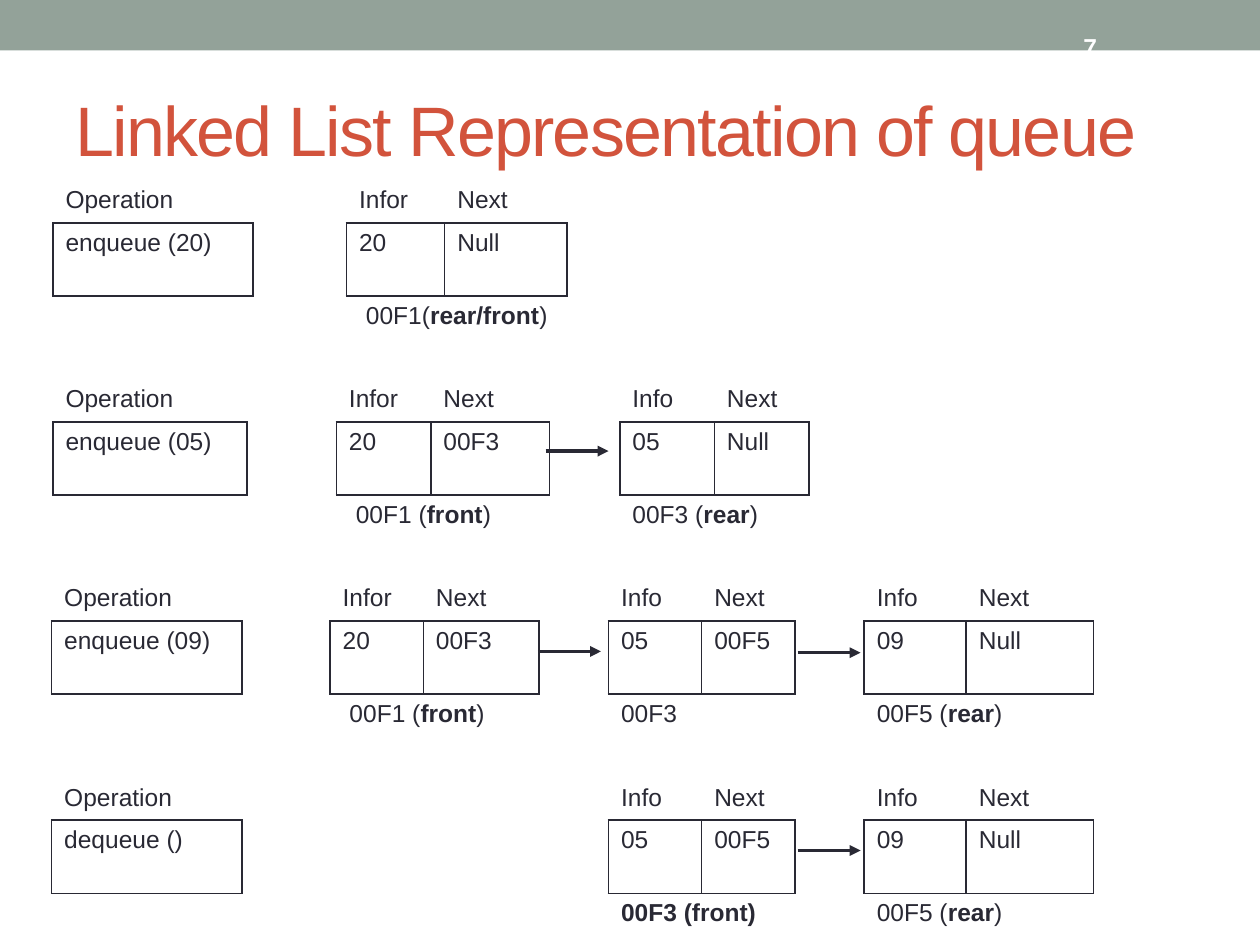
from dataclasses import dataclass
from lxml import etree
from pptx import Presentation
from pptx.dml.color import RGBColor
from pptx.enum.shapes import MSO_CONNECTOR, MSO_SHAPE
from pptx.enum.text import MSO_ANCHOR
from pptx.oxml.ns import qn
from pptx.util import Inches, Pt

LINE = MSO_CONNECTOR.STRAIGHT
RECT = MSO_SHAPE.RECTANGLE
TOP, MIDDLE = MSO_ANCHOR.TOP, MSO_ANCHOR.MIDDLE

HUES = {"ink": "292934", "bar": "93A299", "title": "D2533C", "white": "FFFFFF"}
FONT = "Arial"
ROWS = (0.34, 0.58, 0.32)


@dataclass
class Node:
    col: int
    info: str
    next: str
    note: str  # bold parts stand between asterisks
    head: str = "Info"


@dataclass
class Step:
    call: str
    left: float
    top: float
    cols: tuple
    nodes: tuple


WIDE = (1.51, 0.7, 0.74, 0.92, 0.55, 0.74, 0.74, 0.55, 0.81, 1.01)
LAST = Node(8, "09", "Null", "00F5 (*rear*)")
STEPS = (
    Step("enqueue (20)", 0.42, 1.43, (1.59, 0.74, 0.78, 0.97),
         (Node(2, "20", "Null", " 00F1(*rear/front*)", "Infor"),)),
    Step("enqueue (05)", 0.42, 3.01, (1.54, 0.71, 0.75, 0.94, 0.56, 0.75, 0.75),
         (Node(2, "20", "00F3", " 00F1 (*front*)", "Infor"),
          Node(5, "05", "Null", "00F3 (*rear*)"))),
    Step("enqueue (09)", 0.41, 4.59, WIDE,
         (Node(2, "20", "00F3", " 00F1 (*front*)", "Infor"),
          Node(5, "05", "00F5", "00F3"), LAST)),
    Step("dequeue ()", 0.41, 6.17, WIDE,
         (Node(5, "05", "00F5", "*00F3 (front)*"), LAST)),
)
ARROWS = ((4.33, 3.58), (4.27, 5.17), (6.33, 5.18), (6.33, 6.75))


def tint(name: str) -> RGBColor:
    return RGBColor.from_string(HUES[name])


def write(frame, text: str, *, size: float = 14, hue: str = "ink",
          bold: bool = False, space: int = 0) -> None:
    """Fill a text frame; parts between asterisks are bold."""
    para = frame.paragraphs[0]
    for i, part in enumerate(text.split("*")):
        if not part:
            continue
        run = para.add_run()
        run.text = part
        font = run.font
        font.name, font.size = FONT, Pt(size)
        font.bold = bold or i % 2 == 1
        font.color.rgb = tint(hue)
        if space:
            font._element.set("spc", str(space))
    if not text:
        # Keep empty cells as low as filled ones
        etree.SubElement(para._p, qn("a:endParaRPr"), sz=str(size * 100))


def label(slide, box: tuple, text: str, anchor=TOP, inset: float = 0.05,
          **style) -> None:
    frame = slide.shapes.add_textbox(*map(Inches, box)).text_frame
    frame.word_wrap = True
    frame.vertical_anchor = anchor
    frame.margin_top = Inches(inset)
    write(frame, text, **style)


def edge(cell, sides: dict) -> None:
    """Draw or clear each side of a cell."""
    props = cell._tc.get_or_add_tcPr()
    for i, (side, drawn) in enumerate(sides.items()):
        line = etree.Element(qn(f"a:ln{side}"), w=str(Pt(1)))
        if drawn:
            fill = etree.SubElement(line, qn("a:solidFill"))
            etree.SubElement(fill, qn("a:srgbClr"), val=HUES["ink"])
        else:
            etree.SubElement(line, qn("a:noFill"))
        props.insert(i, line)


def draw(slide, step: Step) -> None:
    """Draw one queue operation as a table."""
    texts = {(0, 0): "Operation", (1, 0): step.call}
    for node in step.nodes:
        c = node.col
        texts |= {(0, c): node.head, (0, c + 1): "Next", (1, c): node.info,
                  (1, c + 1): node.next, (2, c): node.note}
    boxed = {spot for spot in texts if spot[0] == 1}

    grid = slide.shapes.add_table(
        len(ROWS), len(step.cols), Inches(step.left), Inches(step.top),
        Inches(sum(step.cols)), Inches(sum(ROWS))).table
    grid.first_row = grid.horz_banding = False
    for row, high in zip(grid.rows, ROWS):
        row.height = Inches(high)
    for col, wide in zip(grid.columns, step.cols):
        col.width = Inches(wide)

    for r in range(len(ROWS)):
        for c in range(len(step.cols)):
            cell = grid.cell(r, c)
            cell.fill.background()
            near = {"L": (r, c - 1), "R": (r, c + 1),
                    "T": (r - 1, c), "B": (r + 1, c)}
            edge(cell, {side: (r, c) in boxed or spot in boxed
                        for side, spot in near.items()})
            write(cell.text_frame, texts.get((r, c), ""))
    for node in step.nodes:
        grid.cell(2, node.col).merge(grid.cell(2, node.col + 1))


def arrow(slide, x: float, y: float, span: float = 0.5) -> None:
    link = slide.shapes.add_connector(
        LINE, Inches(x), Inches(y), Inches(x + span), Inches(y))
    link.line.color.rgb = tint("ink")
    link.line.width = Pt(2.08)
    etree.SubElement(link.line._get_or_add_ln(), qn("a:tailEnd"), type="triangle")
    etree.SubElement(link._element.spPr, qn("a:effectLst"))


deck = Presentation()
deck.slide_width, deck.slide_height = Inches(10), Inches(7.5)
slide = deck.slides.add_slide(deck.slide_layouts[6])

# Top bar, page number and title
bar = slide.shapes.add_shape(RECT, 0, 0, Inches(10), Inches(0.4))
bar.shadow.inherit = False
bar.fill.solid()
bar.fill.fore_color.rgb = tint("bar")
bar.line.fill.background()
label(slide, (8.5, 0.19, 1.17, 0.36), "7", MIDDLE, hue="white", bold=True)
label(slide, (0.5, 0.58, 9, 1.08), "Linked List Representation of queue",
      inset=0.11, size=40, hue="title", space=-100)

# Queue operations and the links between nodes
for step in STEPS:
    draw(slide, step)
for x, y in ARROWS:
    arrow(slide, x, y)

deck.save("out.pptx")
